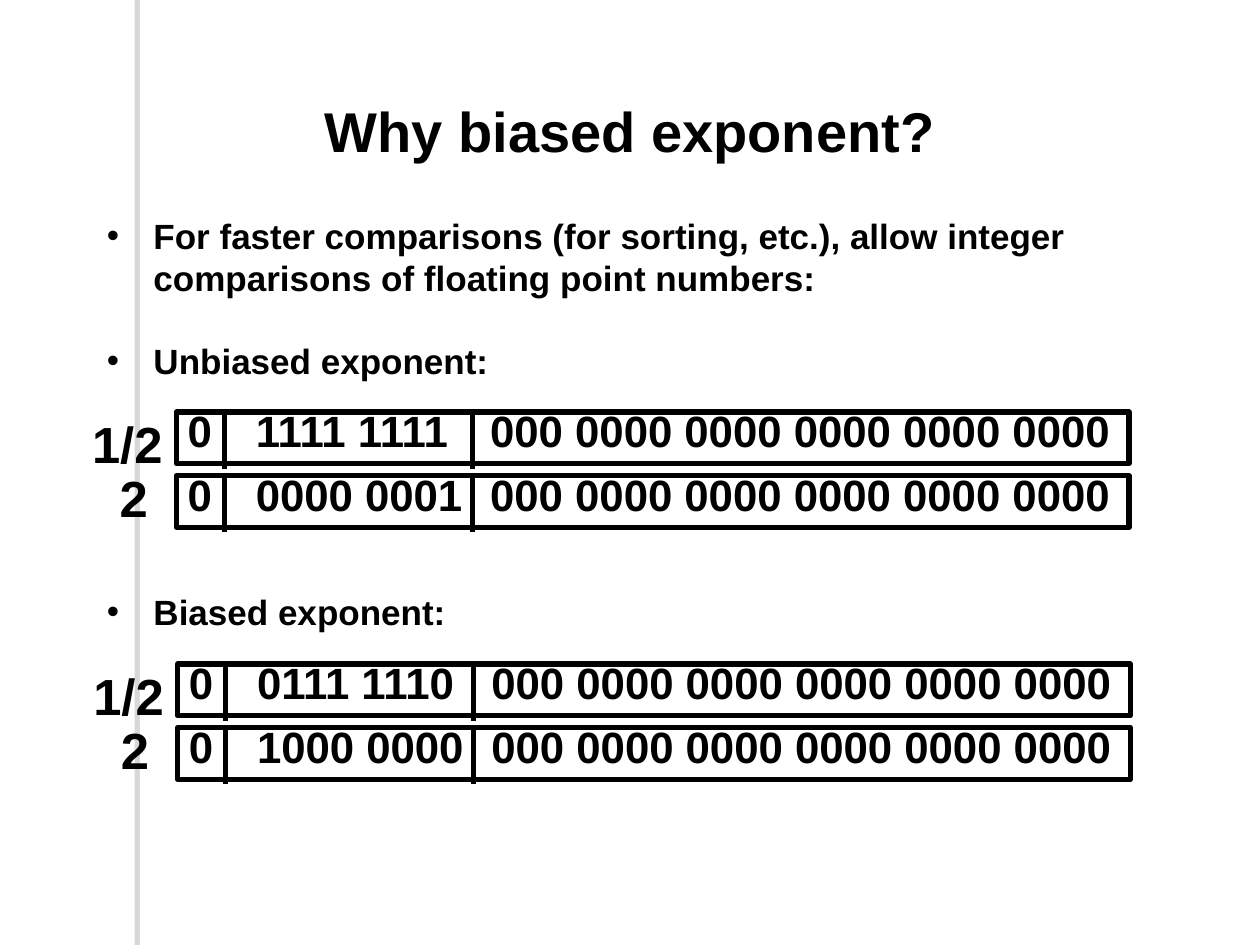
from dataclasses import dataclass

from lxml.etree import SubElement
from pptx import Presentation
from pptx.dml.color import RGBColor
from pptx.enum.shapes import MSO_CONNECTOR, MSO_SHAPE
from pptx.enum.text import MSO_ANCHOR, MSO_AUTO_SIZE, PP_ALIGN
from pptx.oxml.ns import qn
from pptx.shapes.shapetree import GroupShapes
from pptx.slide import Slide
from pptx.util import Inches, Pt

BLACK = RGBColor(0x00, 0x00, 0x00)
WHITE = RGBColor(0xFF, 0xFF, 0xFF)
SHADE = RGBColor(0x70, 0x6B, 0x5F)
FONT = "Arial"

SLIDE_WIDTH, SLIDE_HEIGHT = Inches(10), Inches(7.5)
# The slide is a grid of 1000 columns by 750 rows.
COLUMN, ROW = SLIDE_WIDTH // 1000, SLIDE_HEIGHT // 750

WORD_WIDTH, WORD_HEIGHT = 756, 41
WORD_PITCH = 50.5
DIVIDER_HEIGHT = 43
DIVIDER_OFFSETS = (38, 235)
FIELD_OFFSETS = (0, 54, 240)
FIELD_WIDTHS = (37, 182, 510)
FIELD_RISE, FIELD_HEIGHT = 8, 49
BITS_SIZE, VALUE_SIZE = 25, 29
FRACTION = "000 0000 0000 0000 0000 0000"


@dataclass(frozen=True)
class Label:
    text: str
    offset: int
    drop: int
    width: int


@dataclass(frozen=True)
class Encoding:
    """The words for 1/2 and 2, placed by the corner of the first word."""
    left: int
    top: int
    exponents: tuple[str, str]


@dataclass(frozen=True)
class Bullet:
    text: str
    space_before: float


VALUES = (Label("1/2", -76, -1, 78), Label("2", -54, 42, 41))
ENCODINGS = (
    Encoding(140, 327, ("1111 1111", "0000 0001")),
    Encoding(141, 527, ("0111 1110", "1000 0000")),
)
BULLETS = (
    Bullet("For faster comparisons (for sorting, etc.), allow integer "
           "comparisons of floating point numbers:", 0),
    Bullet("Unbiased exponent:", 23.6),
    Bullet("Biased exponent:", 119.5),
)


def cells(left: float, top: float, width: float, height: float) -> tuple[int, ...]:
    """Turn grid columns and rows into slide lengths."""
    return (round(left * COLUMN), round(top * ROW),
            round(width * COLUMN), round(height * ROW))


def set_font(paragraph, size: float) -> None:
    font = paragraph.font
    font.name, font.size, font.bold = FONT, Pt(size), True
    font.color.rgb = BLACK


def add_side_bar(slide: Slide) -> None:
    """Add a white bar that shows only by its shadow on the left."""
    bar = slide.shapes.add_shape(MSO_SHAPE.RECTANGLE, *cells(111, 0, 8, 750))
    bar.fill.solid()
    bar.fill.fore_color.rgb = WHITE
    bar.line.fill.background()
    effects = SubElement(bar._element.spPr, qn("a:effectLst"))
    shadow = SubElement(effects, qn("a:outerShdw"), dist=str(Pt(3)),
                        dir="10800000", algn="ctr", rotWithShape="0")
    color = SubElement(shadow, qn("a:srgbClr"), val=str(SHADE))
    SubElement(color, qn("a:alpha"), val="25000")


def set_title(slide: Slide, text: str) -> None:
    title = slide.shapes.title
    title.left, title.top, title.width, title.height = cells(75, 67, 850, 73)
    frame = title.text_frame
    frame.text = text
    frame.vertical_anchor = MSO_ANCHOR.MIDDLE
    frame.paragraphs[0].alignment = PP_ALIGN.CENTER
    set_font(frame.paragraphs[0], 32)


def add_bullets(slide: Slide) -> None:
    frame = slide.shapes.add_textbox(*cells(75, 165, 850, 504)).text_frame
    frame.word_wrap = True
    for index, bullet in enumerate(BULLETS):
        paragraph = frame.add_paragraph() if index else frame.paragraphs[0]
        paragraph.text = bullet.text
        paragraph.space_before = Pt(bullet.space_before)
        set_font(paragraph, 20)
        properties = paragraph._p.get_or_add_pPr()
        properties.set("marL", str(37 * COLUMN))
        properties.set("indent", str(-37 * COLUMN))
        run_defaults = properties.find(qn("a:defRPr"))
        for tag, attributes in (("a:buFont", {"typeface": FONT}),
                                ("a:buChar", {"char": "•"})):
            run_defaults.addprevious(properties.makeelement(qn(tag), attributes))


def add_number(shapes: GroupShapes, text: str, size: float, left: float,
               top: float, width: float, height: float) -> None:
    frame = shapes.add_textbox(*cells(left, top, width, height)).text_frame
    frame.word_wrap = False
    frame.auto_size = MSO_AUTO_SIZE.SHAPE_TO_FIT_TEXT
    frame.vertical_anchor = MSO_ANCHOR.MIDDLE
    frame.margin_left = frame.margin_right = 9 * COLUMN
    paragraph = frame.paragraphs[0]
    paragraph.text = text
    paragraph.line_spacing = 0.96
    set_font(paragraph, size)


def add_divider(shapes: GroupShapes, left: float, top: float) -> None:
    x, y, _, height = cells(left, top, 0, DIVIDER_HEIGHT)
    divider = shapes.add_connector(MSO_CONNECTOR.STRAIGHT, x, y, x, y + height)
    divider.line.color.rgb = BLACK
    divider.line.width = Pt(3)
    properties = divider._element.spPr
    properties.find(qn("a:ln")).set("cap", "sq")
    SubElement(properties, qn("a:effectLst"))


def add_word(shapes: GroupShapes, left: float, top: float, exponent: str) -> None:
    """Add one floating point word: sign, exponent and fraction."""
    outline = shapes.add_shape(MSO_SHAPE.ROUNDED_RECTANGLE,
                               *cells(left, top, WORD_WIDTH, WORD_HEIGHT))
    outline.adjustments[0] = 0
    outline.shadow.inherit = False
    outline.fill.background()
    outline.line.color.rgb = BLACK
    outline.line.width = Pt(3)
    for offset in DIVIDER_OFFSETS:
        add_divider(shapes, left + offset, top)
    fields = zip(("0", exponent, FRACTION), FIELD_OFFSETS, FIELD_WIDTHS)
    for bits, offset, width in fields:
        add_number(shapes, bits, BITS_SIZE, left + offset, top - FIELD_RISE,
                   width, FIELD_HEIGHT)


def add_encoding(slide: Slide, encoding: Encoding) -> None:
    shapes = slide.shapes.add_group_shape().shapes
    for index, exponent in enumerate(encoding.exponents):
        add_word(shapes, encoding.left, encoding.top + index * WORD_PITCH, exponent)
    for value in VALUES:
        add_number(shapes, value.text, VALUE_SIZE, encoding.left + value.offset,
                   encoding.top + value.drop, value.width, 56)


def main() -> None:
    presentation = Presentation()
    presentation.slide_width, presentation.slide_height = SLIDE_WIDTH, SLIDE_HEIGHT
    slide = presentation.slides.add_slide(presentation.slide_layouts[5])
    add_side_bar(slide)
    set_title(slide, "Why biased exponent?")
    add_bullets(slide)
    for encoding in ENCODINGS:
        add_encoding(slide, encoding)
    presentation.save("out.pptx")


if __name__ == "__main__":
    main()
